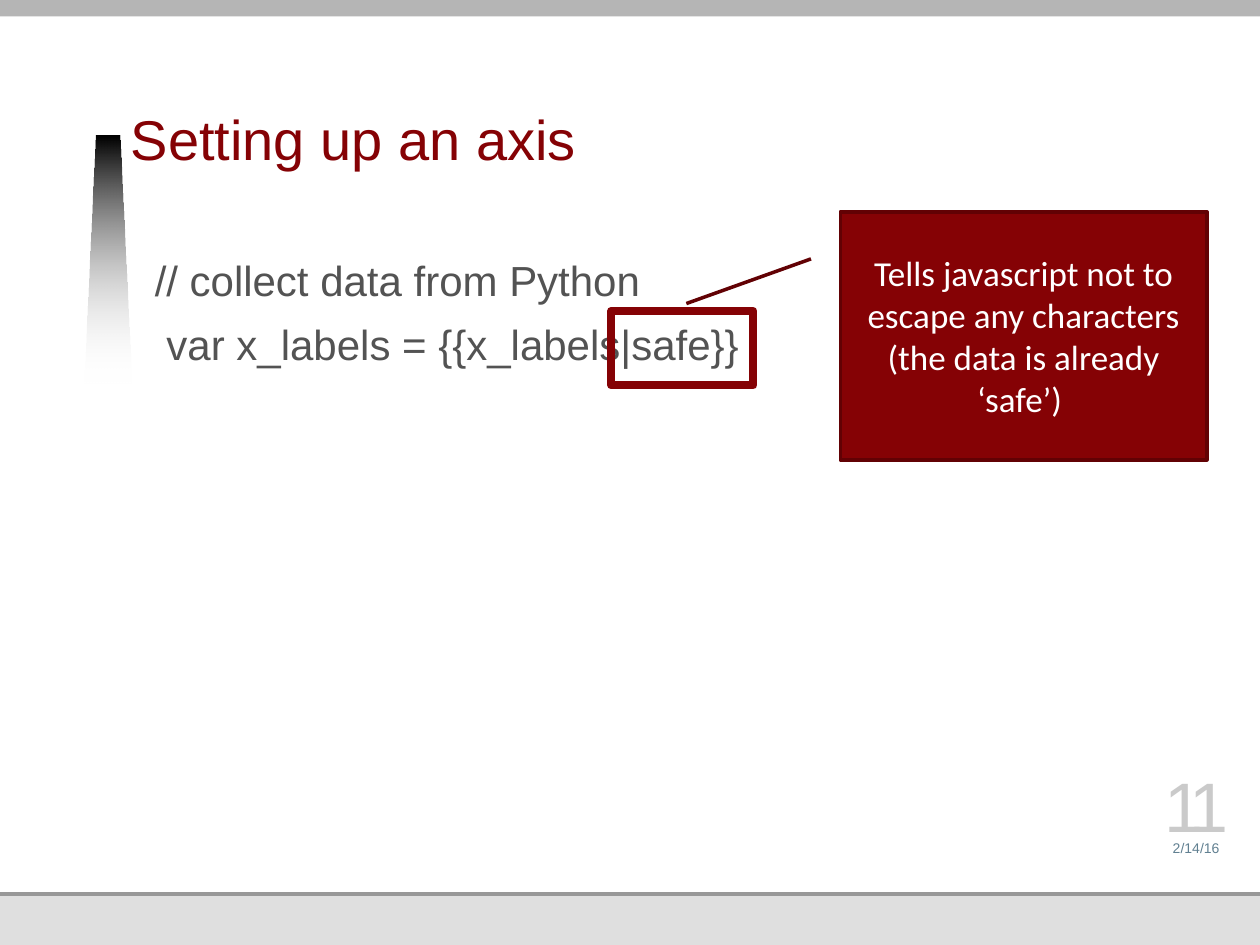
"""Build the "Setting up an axis" slide with its code lines and callout."""
from lxml import etree
from pptx import Presentation
from pptx.dml.color import RGBColor
from pptx.enum.shapes import MSO_SHAPE
from pptx.enum.text import MSO_ANCHOR, MSO_AUTO_SIZE, PP_ALIGN
from pptx.oxml.ns import qn
from pptx.util import Cm, Pt


def color(value):
    return RGBColor.from_string(value)


def set_text(shape, lines, font_name, size, value, alignment, anchor):
    frame = shape.text_frame
    frame.auto_size = MSO_AUTO_SIZE.NONE
    frame.word_wrap = True
    frame.vertical_anchor = anchor
    frame.text = "\n".join(lines)
    for paragraph in frame.paragraphs:
        paragraph.alignment = alignment
        paragraph.space_before = Pt(0)
        paragraph.font.name = font_name
        paragraph.font.size = Pt(size)
        paragraph.font.color.rgb = color(value)
    return frame


presentation = Presentation()
presentation.slide_width, presentation.slide_height = Cm(25.4), Cm(19.05)
slide = presentation.slides.add_slide(presentation.slide_layouts[1])
shapes = slide.shapes

bands = [
    (0, 0, 25.4, 19.05, "DFDFDF"),
    (0, 4.52, 25.4, 13.54, "989898"),
    (0, 0, 25.4, 17.98, "FFFFFF"),
    (0, 0, 20.07, 0.28, "989898"),
    (0, -0.1, 25.83, 0.43, "B5B5B5"),
]
for left, top, width, height, value in bands:
    band = shapes.add_shape(MSO_SHAPE.RECTANGLE, Cm(left), Cm(top), Cm(width), Cm(height))
    band.shadow.inherit = False
    band.fill.solid()
    band.fill.fore_color.rgb = color(value)
    band.line.fill.background()

builder = shapes.build_freeform(Cm(1.7), Cm(7.74))
builder.add_line_segments([(Cm(1.93), Cm(2.74)), (Cm(2.41), Cm(2.74)), (Cm(2.65), Cm(7.74))])
wedge = builder.convert_to_shape()
wedge.shadow.inherit = False
wedge.line.fill.background()
wedge.fill.gradient()
wedge.fill.gradient_angle = 270
for stop, value in zip(wedge.fill.gradient_stops, ("000000", "FFFFFF")):
    stop.color.rgb = color(value)
last_color = wedge._element.spPr.findall(".//" + qn("a:srgbClr"))[-1]
etree.SubElement(last_color, qn("a:alpha"), val="0")

title, body = shapes.title, slide.placeholders[1]
placements = [(title, 2.64, 0.86, 17.45, 2.74), (body, 3.12, 5.13, 19.58, 12.17)]
for placeholder, left, top, width, height in placements:
    placeholder.left, placeholder.top = Cm(left), Cm(top)
    placeholder.width, placeholder.height = Cm(width), Cm(height)
    frame = placeholder.text_frame
    frame.margin_left = frame.margin_top = frame.margin_right = 0
    frame.margin_bottom = Cm(0.13)
    shapes._spTree.append(placeholder._element)

title_frame = set_text(title, ["Setting up an axis"], "Arial", 32, "850205",
                       PP_ALIGN.LEFT, MSO_ANCHOR.BOTTOM)
title_frame.paragraphs[0].line_spacing = Pt(34)

code_lines = ["// collect data from Python", " var x_labels = {{x_labels|safe}}"]
body.text_frame.text = "\n".join(code_lines)
code_frame = set_text(body, code_lines, "Arial", 24, "535353", PP_ALIGN.LEFT, MSO_ANCHOR.TOP)
for paragraph in code_frame.paragraphs:
    paragraph.space_after = Pt(8)
    properties = paragraph._p.get_or_add_pPr()
    properties.set("marL", "0")
    properties.set("indent", "0")
    bullet = etree.Element(qn("a:buNone"))
    properties.find(qn("a:defRPr")).addprevious(bullet)

footers = [("2/14/16", 16.71, 0.56, 8, "618091"), ("11", 15.65, 1.42, 40, "CACACA")]
for text, top, height, size, value in footers:
    footer = shapes.add_textbox(Cm(23.19), Cm(top), Cm(1.85), Cm(height))
    frame = set_text(footer, [text], "Arial", size, value, PP_ALIGN.CENTER, MSO_ANCHOR.BOTTOM)
    frame.margin_left = frame.margin_top = frame.margin_right = frame.margin_bottom = 0
frame.paragraphs[0].runs[0].font._element.set("spc", "-500")

highlight = shapes.add_shape(MSO_SHAPE.RECTANGLE, Cm(12.32), Cm(6.27), Cm(2.87), Cm(1.5))
highlight.shadow.inherit = False
highlight.fill.background()
highlight.line.color.rgb = color("850205")
highlight.line.width = Pt(4.5)

callout = shapes.add_shape(MSO_SHAPE.LINE_CALLOUT_1, Cm(16.94), Cm(4.27), Cm(7.39), Cm(5))
callout.shadow.inherit = False
for index, adjustment in enumerate((0.19, -0.08, 0.37, -0.42)):
    callout.adjustments[index] = adjustment
callout.fill.solid()
callout.fill.fore_color.rgb = color("850205")
callout.line.color.rgb = color("620104")
callout.line.width = Pt(2)
note = "Tells javascript not to escape any characters (the data is already ‘safe’) "
set_text(callout, [note], "Calibri", 20, "FFFFFF", PP_ALIGN.CENTER, MSO_ANCHOR.MIDDLE)

presentation.save("out.pptx")
